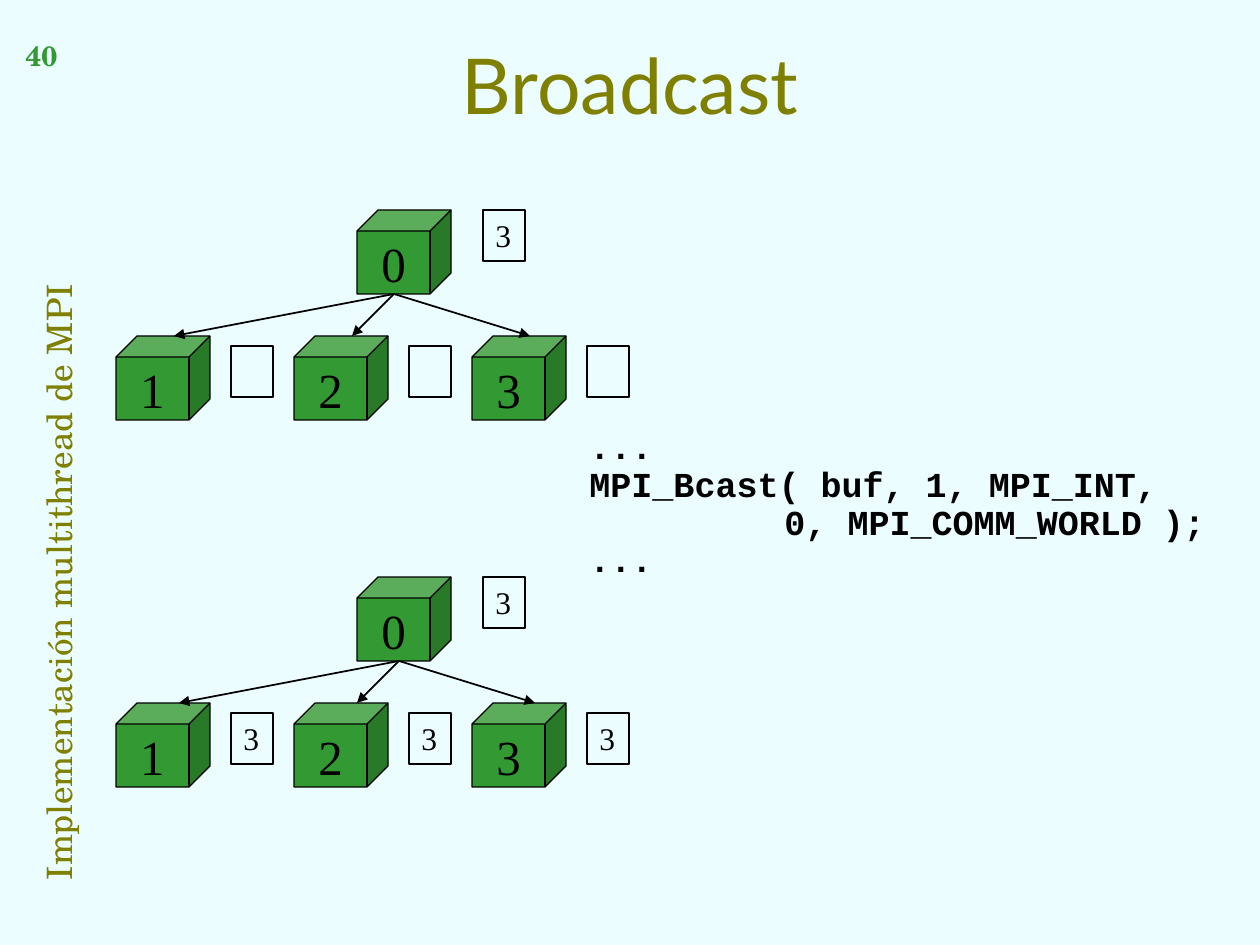
from dataclasses import dataclass

import pptx
import pptx.util
from lxml import etree
from pptx.dml.color import RGBColor
from pptx.enum.dml import MSO_LINE
from pptx.enum.shapes import MSO_CONNECTOR, MSO_SHAPE
from pptx.enum.text import MSO_ANCHOR, MSO_AUTO_SIZE, PP_ALIGN
from pptx.oxml.ns import qn

EMU_PER_PX = 914400 / 126


@dataclass(frozen=True)
class Style:
    font: str
    size: int
    color: str
    bold: bool = False


@dataclass(frozen=True)
class Theme:
    background: str = "EBFDFF"
    green: str = "339933"
    black: str = "000000"
    title: Style = Style("Lato", 44, "808000")
    banner: Style = Style("TeX Gyre Schola", 20, "808000")
    number: Style = Style("TeX Gyre Schola", 16, "339933", True)
    code: Style = Style("Courier New", 20, "000000", True)
    process: Style = Style("Times New Roman", 28, "000000")
    value: Style = Style("Times New Roman", 18, "000000")


@dataclass(frozen=True)
class Tree:
    top: int
    root_value: str
    leaf_value: str
    arrow_shift: int


THEME = Theme()
TREES = (Tree(210, "3", "", 0), Tree(577, "3", "3", 5))
LEAVES = ("1", "2", "3")
LEAF_LEFT, LEAF_PITCH, LEAF_DROP = 116, 178, 126
ROOT_LEFT, ROOT_VALUE_LEFT = 357, 483
CUBE_WIDTH, CUBE_HEIGHT = 94, 84
VALUE_WIDTH, VALUE_HEIGHT = 42, 51
CODE = (
    "...",
    "MPI_Bcast( buf, 1, MPI_INT,",
    "\t\t    0, MPI_COMM_WORLD );",
    "...",
)


def px(length: int) -> pptx.util.Emu:
    return pptx.util.Emu(round(length * EMU_PER_PX))


def style_paragraph(para, style: Style, align=PP_ALIGN.LEFT) -> None:
    para.alignment = align
    para.font.name = style.font
    para.font.size = pptx.util.Pt(style.size)
    para.font.bold = style.bold
    para.font.color.rgb = RGBColor.from_string(style.color)


def add_label(page, text: str, left: int, top: int, width: int, height: int,
              style: Style, align=PP_ALIGN.LEFT, wrap: bool = True):
    box = page.shapes.add_textbox(px(left), px(top), px(width), px(height))
    box.text_frame.word_wrap = wrap
    box.text_frame.text = text
    style_paragraph(box.text_frame.paragraphs[0], style, align)
    return box


def add_outlined(page, kind, left: int, top: int, width: int, height: int):
    shape = page.shapes.add_shape(kind, px(left), px(top), px(width), px(height))
    shape.shadow.inherit = False
    shape.line.color.rgb = RGBColor.from_string(THEME.black)
    shape.line.width = pptx.util.Pt(0.75)
    return shape


def add_process(page, rank: str, left: int, top: int) -> None:
    cube = add_outlined(page, MSO_SHAPE.CUBE, left, top, CUBE_WIDTH, CUBE_HEIGHT)
    cube.fill.solid()
    cube.fill.fore_color.rgb = RGBColor.from_string(THEME.green)
    frame = cube.text_frame
    frame.word_wrap = False
    frame.vertical_anchor = MSO_ANCHOR.MIDDLE
    frame.text = rank
    style_paragraph(frame.paragraphs[0], THEME.process, PP_ALIGN.CENTER)


def add_value(page, value: str, left: int, top: int) -> None:
    cell = add_outlined(page, MSO_SHAPE.RECTANGLE, left, top, VALUE_WIDTH, VALUE_HEIGHT)
    cell.fill.background()
    if value:
        cell.text_frame.vertical_anchor = MSO_ANCHOR.TOP
        cell.text_frame.text = value
        style_paragraph(cell.text_frame.paragraphs[0], THEME.value)


def add_arrow(page, start: tuple[int, int], end: tuple[int, int]) -> None:
    arrow = page.shapes.add_connector(
        MSO_CONNECTOR.STRAIGHT, *(px(length) for length in start + end))
    arrow.line.color.rgb = RGBColor.from_string(THEME.black)
    arrow.line.width = pptx.util.Pt(1)
    arrow.line.dash_style = MSO_LINE.SOLID
    etree.SubElement(arrow.line._get_or_add_ln(), qn("a:tailEnd"), type="triangle")
    etree.SubElement(arrow._element.spPr, qn("a:effectLst"))


def add_tree(page, tree: Tree) -> None:
    leaf_top = tree.top + LEAF_DROP
    add_process(page, "0", ROOT_LEFT, tree.top)
    add_value(page, tree.root_value, ROOT_VALUE_LEFT, tree.top)
    for index, rank in enumerate(LEAVES):
        left = LEAF_LEFT + index * LEAF_PITCH
        add_process(page, rank, left, leaf_top)
        add_value(page, tree.leaf_value, left + 115, leaf_top + 10)
        add_arrow(page, (394 + tree.arrow_shift, tree.top + CUBE_HEIGHT),
                  (left + 58 + tree.arrow_shift, leaf_top))


def add_code(page) -> None:
    box = page.shapes.add_textbox(px(577), px(423), px(650), px(217))
    frame = box.text_frame
    frame.word_wrap = True
    for index, line in enumerate(CODE):
        para = frame.paragraphs[0] if index == 0 else frame.add_paragraph()
        para.text = line
        # Hanging indent with a tab stop every inch
        properties = para._p.get_or_add_pPr()
        properties.set("marL", str(px(48)))
        properties.set("indent", str(px(-48)))
        stops = etree.SubElement(properties, qn("a:tabLst"))
        for inch in range(8):
            etree.SubElement(stops, qn("a:tab"), pos=str(px(126 * inch)), algn="l")
        para.line_spacing = 0.9
        style_paragraph(para, THEME.code)


def main() -> None:
    deck = pptx.Presentation()
    deck.slide_width, deck.slide_height = px(1260), px(945)
    page = deck.slides.add_slide(deck.slide_layouts[5])
    page.background.fill.solid()
    page.background.fill.fore_color.rgb = RGBColor.from_string(THEME.background)

    # Title
    title = page.shapes.title
    title.left, title.top, title.width, title.height = px(0), px(0), px(1260), px(179)
    title.text_frame.text = "Broadcast"
    title.text_frame.auto_size = MSO_AUTO_SIZE.NONE
    title.text_frame.vertical_anchor = MSO_ANCHOR.MIDDLE
    title.text_frame.paragraphs[0].line_spacing = 0.9
    style_paragraph(title.text_frame.paragraphs[0], THEME.title, PP_ALIGN.CENTER)

    # Side banner and slide number
    banner = add_label(page, "Implementación multithread de MPI", -341, 488, 777, 32,
                       THEME.banner, wrap=False)
    banner.rotation = 270
    add_label(page, "40", 10, 32, 63, 94, THEME.number, PP_ALIGN.CENTER)

    # Process trees before and after the broadcast, and the call
    for tree in TREES:
        add_tree(page, tree)
    add_code(page)

    deck.save("out.pptx")


if __name__ == "__main__":
    main()
